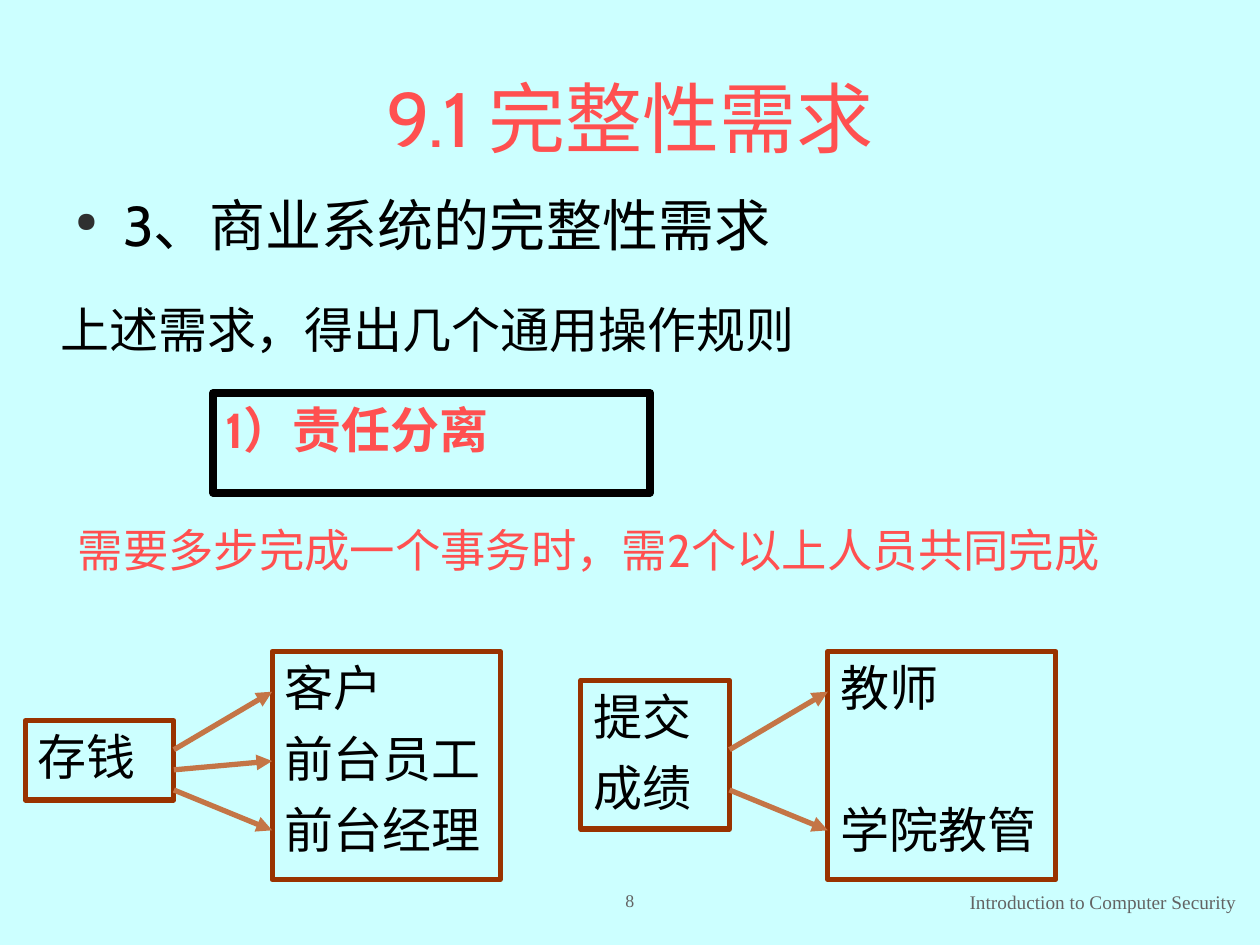
from collections import namedtuple
from dataclasses import dataclass

from lxml import etree
from pptx import Presentation
from pptx.dml.color import RGBColor
from pptx.enum.shapes import MSO_CONNECTOR, MSO_SHAPE
from pptx.enum.text import MSO_ANCHOR, MSO_AUTO_SIZE, PP_ALIGN
from pptx.oxml.ns import qn
from pptx.util import Inches, Pt

RECTANGLE = MSO_SHAPE.RECTANGLE
STRAIGHT = MSO_CONNECTOR.STRAIGHT
LEFT, CENTER, RIGHT = PP_ALIGN.LEFT, PP_ALIGN.CENTER, PP_ALIGN.RIGHT
TOP, MIDDLE = MSO_ANCHOR.TOP, MSO_ANCHOR.MIDDLE
NO_FIT = MSO_AUTO_SIZE.NONE
TITLE_ONLY = 5

Box = namedtuple("Box", "left top width height")


@dataclass(frozen=True)
class Theme:
    background: str = "CCFFFF"
    accent: str = "FF5050"
    ink: str = "000000"
    bullet: str = "2F2F2F"
    muted: str = "636363"
    frame: str = "993300"
    arrow: str = "C47546"
    font: str = "Cabin"
    footer_font: str = "Times New Roman"
    title: float = 44
    heading: float = 32
    body: float = 28
    note: float = 25.9
    footer: float = 11
    number: float = 10.2
    gap: float = 7
    row: float = 40.6
    rule: float = 3
    thick_rule: float = 4.5


THEME = Theme()


def color(value):
    return RGBColor.from_string(value)


def place(shape, box):
    shape.left, shape.top, shape.width, shape.height = map(Inches, box)


def write(shape, lines, size, ink=THEME.ink, font=THEME.font, bold=False,
          align=LEFT, anchor=TOP, gap=0, spacing=None):
    frame = shape.text_frame
    frame.text = "\n".join(lines)
    frame.word_wrap = True
    frame.auto_size = NO_FIT
    frame.vertical_anchor = anchor
    for para in frame.paragraphs:
        para.alignment = align
        para.space_before = Pt(gap)
        para.line_spacing = spacing
        for span in para.runs:
            span.font.size = Pt(size)
            span.font.name = font
            span.font.bold = bold
            span.font.color.rgb = color(ink)
    return frame


def add_text(page, box, text, size, **style):
    return write(page.shapes.add_textbox(*map(Inches, box)), [text], size, **style)


def add_frame(page, box, lines, line_color, width, **style):
    """Draw an outlined, unfilled rectangle holding one paragraph per line."""
    shape = page.shapes.add_shape(RECTANGLE, *map(Inches, box))
    shape.shadow.inherit = False
    shape.fill.background()
    shape.line.color.rgb = color(line_color)
    shape.line.width = Pt(width)
    return write(shape, lines, THEME.body, gap=THEME.gap, **style)


def add_arrow(page, start, end):
    arrow = page.shapes.add_connector(STRAIGHT, *map(Inches, start + end))
    arrow.line.color.rgb = color(THEME.arrow)
    arrow.line.width = Pt(THEME.rule)
    etree.SubElement(arrow.line._get_or_add_ln(), qn("a:tailEnd"), type="triangle")
    etree.SubElement(arrow._element.spPr, qn("a:effectLst"))


def add_bullet(para):
    properties = para._p.get_or_add_pPr()
    indent = Inches(0.38)
    properties.set("marL", str(indent))
    properties.set("indent", str(-indent))
    bullet_color = etree.SubElement(properties, qn("a:buClr"))
    etree.SubElement(bullet_color, qn("a:srgbClr"), val=THEME.bullet)
    etree.SubElement(properties, qn("a:buSzPct"), val="50000")
    etree.SubElement(properties, qn("a:buChar"), char="●")


def add_heading(page, box):
    title = page.shapes.title
    place(title, Box(box.left, box.top, box.width, 1.25))
    write(title, ["9.1 完整性需求"], THEME.title, THEME.accent, align=CENTER, anchor=MIDDLE)
    topic = add_text(page, Box(box.left, 1.46, box.width, 0.82),
                     "3、商业系统的完整性需求", THEME.heading, gap=8)
    add_bullet(topic.paragraphs[0])


def add_rule(page, box):
    """Stack the lead-in, the framed rule and its explanation in equal rows."""
    row = 0.79
    add_text(page, Box(box.left, box.top, box.width, row),
             "上述需求，得出几个通用操作规则", THEME.body, gap=THEME.gap)
    add_frame(page, Box(box.left + 1.31, box.top + row, 3.47, row), ["1）责任分离"],
              THEME.ink, THEME.thick_rule, ink=THEME.accent, bold=True)
    add_text(page, Box(box.left + 0.14, box.top + 1.81, box.width, row),
             "需要多步完成一个事务时，需2个以上人员共同完成", THEME.note,
             ink=THEME.accent, gap=THEME.gap, spacing=0.9)


def add_example(page, box, task, task_box, people):
    """Link a task to the people sharing it; people maps row number to name."""
    side = box.height
    task_right = task_box.left + task_box.width
    people_left = box.left + box.width - side
    add_frame(page, task_box, task, THEME.frame, THEME.rule)
    frame = add_frame(page, Box(people_left, box.top, side, side),
                      list(people.values()), THEME.frame, THEME.rule)
    previous = -1
    for para, row in zip(frame.paragraphs, people):
        para.space_before = Pt(THEME.gap + (row - previous - 1) * THEME.row)
        add_arrow(page, (task_right, box.top + 0.78 + 0.16 * row),
                  (people_left, box.top + 0.32 + 0.55 * row))
        previous = row


def add_footer(page, box):
    add_text(page, Box(box.left + box.width - 4.08, box.top, 4.08, box.height),
             "Introduction to Computer Security", THEME.footer, ink=THEME.muted,
             font=THEME.footer_font, align=RIGHT, anchor=MIDDLE)
    add_text(page, Box(4.5, box.top, 1, box.height), "8", THEME.number,
             ink=THEME.muted, font=THEME.footer_font, align=CENTER,
             anchor=MIDDLE, spacing=0.9)


def main():
    deck = Presentation()
    deck.slide_width, deck.slide_height = Inches(10), Inches(7.5)
    page = deck.slides.add_slide(deck.slide_layouts[TITLE_ONLY])
    page.background.fill.solid()
    page.background.fill.fore_color.rgb = color(THEME.background)

    add_heading(page, Box(0.5, 0.3, 9, 2))
    add_rule(page, Box(0.38, 2.33, 9.2, 2.6))
    examples = [
        (["存钱"], 5.72, 0.63, {0: "客户", 1: "前台员工", 2: "前台经理"}),
        (["提交", "成绩"], 5.4, 1.18, {0: "教师", 2: "学院教管"}),
    ]
    for column, (task, top, height, people) in enumerate(examples):
        left = 0.2 + 4.41 * column
        add_example(page, Box(left, 5.17, 3.77, 1.81), task,
                    Box(left, top, 1.18, height), people)
    add_footer(page, Box(0, 7, 9.91, 0.31))
    deck.save("out.pptx")


if __name__ == "__main__":
    main()
